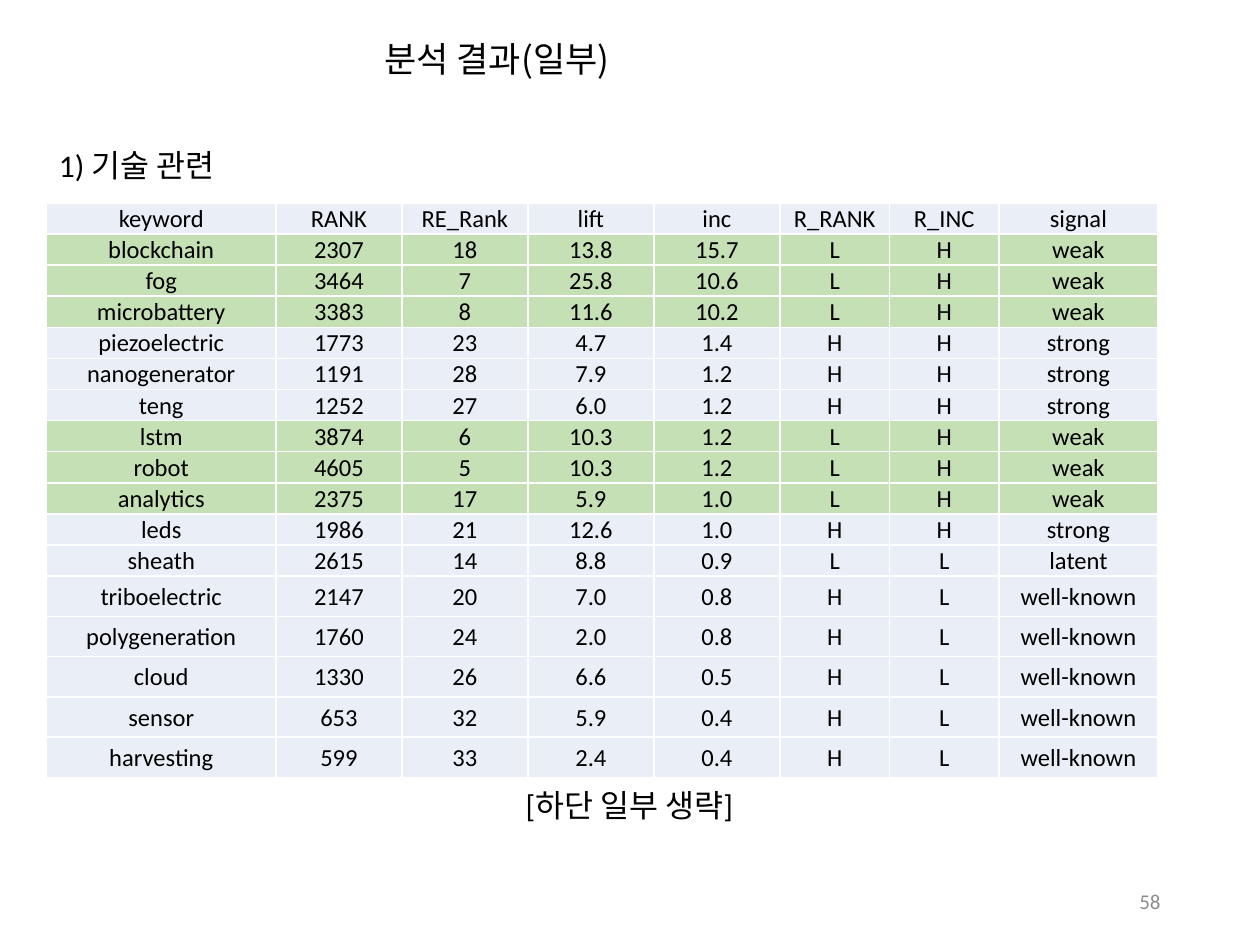
from dataclasses import dataclass

from lxml import etree
from pptx import Presentation
from pptx.dml.color import RGBColor
from pptx.enum.text import MSO_ANCHOR, MSO_AUTO_SIZE, PP_ALIGN
from pptx.oxml.ns import qn
from pptx.util import Inches, Pt

LEFT, CENTER, RIGHT = PP_ALIGN.LEFT, PP_ALIGN.CENTER, PP_ALIGN.RIGHT
TOP, MIDDLE = MSO_ANCHOR.TOP, MSO_ANCHOR.MIDDLE
FIXED, GROW = MSO_AUTO_SIZE.NONE, MSO_AUTO_SIZE.SHAPE_TO_FIT_TEXT
BLACK = RGBColor(0x00, 0x00, 0x00)
GRAY = RGBColor(0x8C, 0x8C, 0x8C)
WHITE = RGBColor(0xFF, 0xFF, 0xFF)
PALE_BLUE = RGBColor(0xEA, 0xEF, 0xF7)
PALE_GREEN = RGBColor(0xC5, 0xE0, 0xB4)
LATIN_FONT = "Calibri"
KOREAN_FONT = "Noto Sans CJK KR"

COLUMN_WIDTHS = [1.82, 1, 1, 1, 1, 0.87, 0.87, 1.26]
SHORT_ROW, TALL_ROW = 0.2, 0.32
CELL_MARGINS = {"margin_left": Inches(0.01), "margin_right": Inches(0.01),
                "margin_top": Inches(0.01), "margin_bottom": 0}
HEADINGS = ["keyword", "RANK", "RE_Rank", "lift", "inc", "R_RANK", "R_INC", "signal"]


@dataclass(frozen=True)
class Keyword:
    name: str
    rank: int
    reverse_rank: int
    lift: float
    increase: float
    rank_level: str
    increase_level: str
    signal: str

    def texts(self) -> list[str]:
        return [self.name, str(self.rank), str(self.reverse_rank),
                f"{self.lift:.1f}", f"{self.increase:.1f}",
                self.rank_level, self.increase_level, self.signal]


@dataclass(frozen=True)
class Label:
    text: str
    left: float
    top: float
    width: float
    height: float
    size: int
    align: int = LEFT
    color: RGBColor = BLACK
    font: str = LATIN_FONT
    anchor: int = TOP
    fit: int = GROW


KEYWORDS = [
    Keyword("blockchain", 2307, 18, 13.8, 15.7, "L", "H", "weak"),
    Keyword("fog", 3464, 7, 25.8, 10.6, "L", "H", "weak"),
    Keyword("microbattery", 3383, 8, 11.6, 10.2, "L", "H", "weak"),
    Keyword("piezoelectric", 1773, 23, 4.7, 1.4, "H", "H", "strong"),
    Keyword("nanogenerator", 1191, 28, 7.9, 1.2, "H", "H", "strong"),
    Keyword("teng", 1252, 27, 6.0, 1.2, "H", "H", "strong"),
    Keyword("lstm", 3874, 6, 10.3, 1.2, "L", "H", "weak"),
    Keyword("robot", 4605, 5, 10.3, 1.2, "L", "H", "weak"),
    Keyword("analytics", 2375, 17, 5.9, 1.0, "L", "H", "weak"),
    Keyword("leds", 1986, 21, 12.6, 1.0, "H", "H", "strong"),
    Keyword("sheath", 2615, 14, 8.8, 0.9, "L", "L", "latent"),
    Keyword("triboelectric", 2147, 20, 7.0, 0.8, "H", "L", "well-known"),
    Keyword("polygeneration", 1760, 24, 2.0, 0.8, "H", "L", "well-known"),
    Keyword("cloud", 1330, 26, 6.6, 0.5, "H", "L", "well-known"),
    Keyword("sensor", 653, 32, 5.9, 0.4, "H", "L", "well-known"),
    Keyword("harvesting", 599, 33, 2.4, 0.4, "H", "L", "well-known"),
]
TITLE = Label("분석 결과(일부)", 2.95, 0.25, 6.85, 0.43, 20,
              font=KOREAN_FONT, anchor=MIDDLE, fit=FIXED)
LABELS = [
    Label("58", 7.06, 6.95, 2.25, 0.4, 12, RIGHT, GRAY, anchor=MIDDLE, fit=FIXED),
    Label("[하단 일부 생략]", 2.95, 6.19, 4.09, 0.4, 18, CENTER),
    Label("1) 기술 관련", 0.37, 1.11, 3.37, 0.4, 18),
]


def set_attributes(target, values: dict) -> None:
    for name, value in values.items():
        setattr(target, name, value)


def write_text(frame, text: str, size: int, align: int,
               color: RGBColor = BLACK, font: str = LATIN_FONT) -> None:
    para = frame.paragraphs[0]
    para.alignment = align
    span = para.add_run()
    span.text = text
    set_attributes(span.font, {"size": Pt(size), "name": font})
    span.font.color.rgb = color
    east_asian = etree.SubElement(span.font._element, qn("a:ea"))
    east_asian.set("typeface", KOREAN_FONT)


def fill_label(box, label: Label) -> None:
    set_attributes(box, {"left": Inches(label.left), "top": Inches(label.top),
                         "width": Inches(label.width), "height": Inches(label.height)})
    set_attributes(box.text_frame, {"word_wrap": True, "auto_size": label.fit,
                                    "vertical_anchor": label.anchor})
    write_text(box.text_frame, label.text, label.size, label.align, label.color, label.font)


def add_label(page, label: Label) -> None:
    fill_label(page.shapes.add_textbox(0, 0, 0, 0), label)


def add_borders(cell) -> None:
    properties = cell._tc.get_or_add_tcPr()
    for side in ("a:lnL", "a:lnR", "a:lnT", "a:lnB"):
        line = etree.SubElement(properties, qn(side), w=str(Pt(1)))
        fill = etree.SubElement(line, qn("a:solidFill"))
        etree.SubElement(fill, qn("a:srgbClr"), val=str(WHITE))


def fill_cell(cell, text: str, color: RGBColor) -> None:
    add_borders(cell)
    set_attributes(cell, {**CELL_MARGINS, "vertical_anchor": MIDDLE})
    cell.fill.solid()
    cell.fill.fore_color.rgb = color
    write_text(cell.text_frame, text, 14, CENTER)


def add_keyword_table(page, keywords: list[Keyword]) -> None:
    heights = [SHORT_ROW] + [TALL_ROW if keyword.signal == "well-known" else SHORT_ROW
                             for keyword in keywords]
    table = page.shapes.add_table(
        len(heights), len(COLUMN_WIDTHS), Inches(0.37), Inches(1.61),
        Inches(sum(COLUMN_WIDTHS)), Inches(sum(heights))).table
    set_attributes(table, {"first_row": False, "horz_banding": False})
    for column, width in zip(table.columns, COLUMN_WIDTHS):
        column.width = Inches(width)
    rows = [(HEADINGS, PALE_BLUE)]
    rows += [(keyword.texts(), PALE_GREEN if keyword.signal == "weak" else PALE_BLUE)
             for keyword in keywords]
    for row, height, (texts, color) in zip(table.rows, heights, rows):
        row.height = Inches(height)
        for cell, text in zip(row.cells, texts):
            fill_cell(cell, text, color)


def main() -> None:
    deck = Presentation()
    set_attributes(deck, {"slide_width": Inches(10), "slide_height": Inches(7.5)})
    page = deck.slides.add_slide(deck.slide_layouts[5])
    fill_label(page.shapes.title, TITLE)
    add_keyword_table(page, KEYWORDS)
    for label in LABELS:
        add_label(page, label)
    deck.save("out.pptx")


if __name__ == "__main__":
    main()
